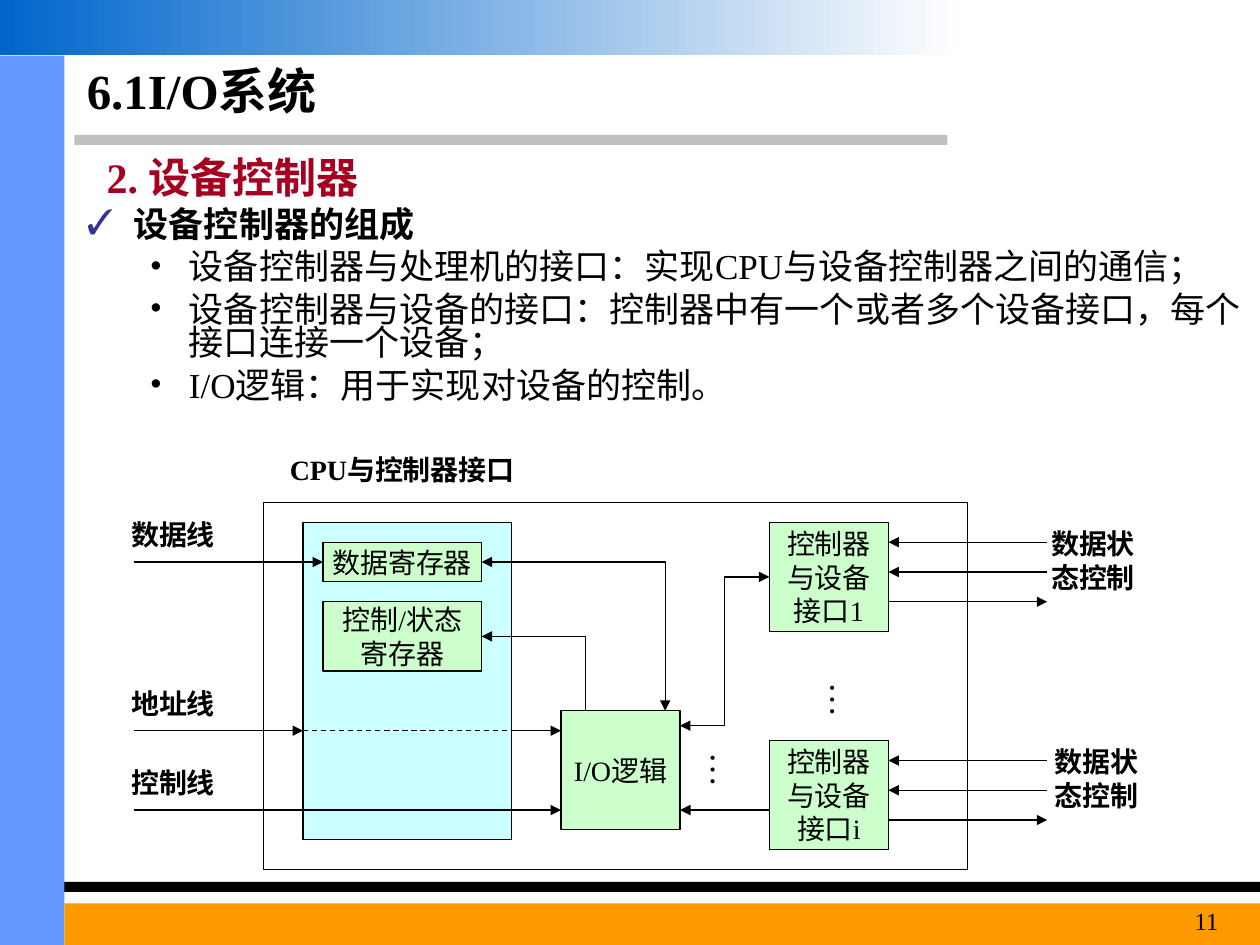
from lxml import etree
from pptx import Presentation
from pptx.dml.color import RGBColor
from pptx.enum.dml import MSO_LINE as Dash
from pptx.enum.shapes import MSO_CONNECTOR as Conn, MSO_SHAPE as Geo
from pptx.enum.text import MSO_ANCHOR as Anchor, PP_ALIGN as Align
from pptx.oxml.ns import qn
from pptx.util import Cm, Pt

FONT = "Times New Roman"
BLACK, GREEN, CYAN = "000000", "CCFFCC", "CCFFFF"


def rgb(code):
    return RGBColor.from_string(code)


def add(node, tag, **attrs):
    return etree.SubElement(node, qn(tag), **attrs)


def bullet(para, mark, color, left, hang):
    props = para._p.get_or_add_pPr()
    props.set("marL", str(Cm(left)))
    props.set("indent", str(-Cm(hang)))
    add(add(props, "a:buClr"), "a:srgbClr", val=color)
    add(props, "a:buFont", typeface=FONT)
    add(props, "a:buChar", char=mark)


def write(frame, lines, size=16, bold=False, color=BLACK, align=Align.LEFT,
          anchor=Anchor.TOP, wrap=True):
    """Fill a text frame, one paragraph for each line."""
    frame.word_wrap = wrap
    frame.vertical_anchor = anchor
    for i, line in enumerate(lines.split("\n")):
        para = frame.paragraphs[0] if i == 0 else frame.add_paragraph()
        para.alignment = align
        run = para.add_run()
        run.text = line
        font = run.font
        font.name, font.size, font.bold = FONT, Pt(size), bold
        font.color.rgb = rgb(color)


def label(slide, text, x, y, w, h, **style):
    box = slide.shapes.add_textbox(Cm(x), Cm(y), Cm(w), Cm(h))
    write(box.text_frame, text, **style)
    return box


def rect(slide, x, y, w, h, fill=None, line=None, text=None):
    box = slide.shapes.add_shape(Geo.RECTANGLE, Cm(x), Cm(y), Cm(w), Cm(h))
    box.shadow.inherit = False
    if fill:
        box.fill.solid()
        box.fill.fore_color.rgb = rgb(fill)
    else:
        box.fill.background()
    if line:
        box.line.color.rgb = rgb(line)
        box.line.width = Pt(0.75)
    else:
        box.line.fill.background()
    if text:
        write(box.text_frame, text, align=Align.CENTER,
              anchor=Anchor.MIDDLE, wrap=False)
    return box


def wire(slide, x1, y1, x2, y2, head=False, tail=False, dash=False, bend=None):
    kind = Conn.ELBOW if bend else Conn.STRAIGHT
    link = slide.shapes.add_connector(kind, Cm(x1), Cm(y1), Cm(x2), Cm(y2))
    link.line.color.rgb = rgb(BLACK)
    link.line.width = Pt(0.75)
    if dash:
        link.line.dash_style = Dash.DASH
    props = link._element.spPr
    if bend:
        props.find(qn("a:prstGeom")).set("prst", bend)
    stroke = link.line._get_or_add_ln()
    if head:
        add(stroke, "a:headEnd", type="triangle")
    if tail:
        add(stroke, "a:tailEnd", type="triangle")
    add(props, "a:effectLst")


def frame(slide, w, h):
    """Bars around the page, and the page number."""
    side, top, foot = 1.3, 1.12, 0.84
    rect(slide, 1.5, 2.72, 17.6, 0.2, "C0C0C0")
    rect(slide, 0, 17.78, w, 0.2, BLACK)
    rect(slide, 0, top, side, h - top, "6699FF")
    rect(slide, side, h - foot, w - side, foot, "FF9900")
    band = rect(slide, 0, 0, 19.3, top, "0066CC")
    band.fill.gradient()
    band.fill.gradient_angle = 0
    for stop, color, place in zip(band.fill.gradient_stops,
                                  ("0066CC", "FEFEFE"), (0, 1)):
        stop.color.rgb = rgb(color)
        stop.position = place
    label(slide, "11", 22.5, 18.14, 2.31, 0.91, size=14, align=Align.RIGHT)


def outline(slide, x, y, w):
    """Title, section heading and bullet list."""
    label(slide, "6.1I/O系统", x, y, 17.4, 1.4, size=28, bold=True,
          anchor=Anchor.MIDDLE)
    label(slide, "2. 设备控制器", x + 0.4, y + 1.8, 14.4, 1.27, size=24,
          bold=True, color="A50021")
    body = label(slide, "设备控制器的组成\n"
                 "设备控制器与处理机的接口：实现CPU与设备控制器之间的通信；\n"
                 "设备控制器与设备的接口：控制器中有一个或者多个设备接口，每个接口连接一个设备；\n"
                 "I/O逻辑：用于实现对设备的控制。", x, y + 3, w, 4.4, size=20)
    for i, para in enumerate(body.text_frame.paragraphs):
        para.line_spacing = 0.8
        if i == 0:
            para.runs[0].font.bold = True
            bullet(para, "✓", "333399", 0.95, 0.95)
        else:
            para.level = 1
            para.space_before = Pt(5)
            bullet(para, "•", BLACK, 2.06, 0.79)


def port(slide, x, y, name, wide):
    """Device interface with its three lines to the device."""
    rect(slide, x, y, 2.4, 2.2, GREEN, BLACK, f"控制器\n与设备\n接口{name}")
    for i in range(3):
        row = y + 0.4 + 0.6 * i
        wire(slide, x + 2.4, row, x + 5.6, row, head=i < 2, tail=i == 2)
    label(slide, "数据状态控制", x + 5.4, y - 0.04, wide, 1.63, bold=True,
          align=Align.CENTER)


def dots(slide, x, y):
    box = label(slide, "…", x, y, 1.35, 0.79, size=20)
    edge = box.text_frame
    edge.margin_left = edge.margin_right = Cm(0.13)
    edge.margin_top = edge.margin_bottom = Cm(0.25)
    edge._txBody.bodyPr.set("vert", "eaVert")


def diagram(slide, x, y, w, h):
    """Device controller between the CPU lines and the devices."""
    rect(slide, x, y, w, h, line=BLACK)
    label(slide, "CPU与控制器接口", x, y - 1.14, 5.6, 0.94, bold=True,
          align=Align.CENTER)

    # CPU interface, registers and logic
    rect(slide, x + 0.8, y + 0.4, 4.2, 6.4, CYAN, BLACK)
    rect(slide, x + 1.2, y + 0.8, 3.2, 0.8, GREEN, BLACK, "数据寄存器")
    rect(slide, x + 1.2, y + 2, 3.2, 1.4, GREEN, BLACK, "控制/状态\n寄存器")
    rect(slide, x + 6, y + 4.2, 2.4, 2.4, GREEN, BLACK, "I/O逻辑")

    # Lines from the CPU
    for name, row, end in (("数据线", 1.2, 1.2), ("地址线", 4.6, 0.8),
                           ("控制线", 6.2, 6)):
        label(slide, name, x - 3.02, y + row - 1.02, 2.4, 0.94, bold=True,
              align=Align.CENTER)
        wire(slide, x - 2.6, y + row, x + end, y + row, tail=True)
    wire(slide, x + 0.8, y + 4.6, x + 5, y + 4.6, dash=True)
    wire(slide, x + 5, y + 4.6, x + 6, y + 4.6, tail=True)

    # Device side
    port(slide, x + 10.2, y + 0.4, "1", 2.25)
    port(slide, x + 10.2, y + 4.8, "i", 2.4)
    dots(slide, x + 10.92, y + 3.38)
    dots(slide, x + 8.51, y + 4.8)

    # Links of the logic block
    wire(slide, x + 8.4, y + 6.2, x + 10.2, y + 6.2, head=True)
    wire(slide, x + 10.2, y + 1.5, x + 8.4, y + 4.5, head=True, tail=True,
         bend="bentConnector3")
    wire(slide, x + 4.4, y + 2.7, x + 6.5, y + 4.2, head=True,
         bend="bentConnector2")
    wire(slide, x + 4.4, y + 1.2, x + 8.1, y + 4.2, head=True, tail=True,
         bend="bentConnector2")


def main():
    deck = Presentation()
    deck.slide_width, deck.slide_height = Cm(25.4), Cm(19.05)
    slide = deck.slides.add_slide(deck.slide_layouts[6])
    frame(slide, 25.4, 19.05)
    outline(slide, 1.5, 1.12, 23.9)
    diagram(slide, 5.31, 10.13, 14.2, 7.4)
    deck.save("out.pptx")


if __name__ == "__main__":
    main()
